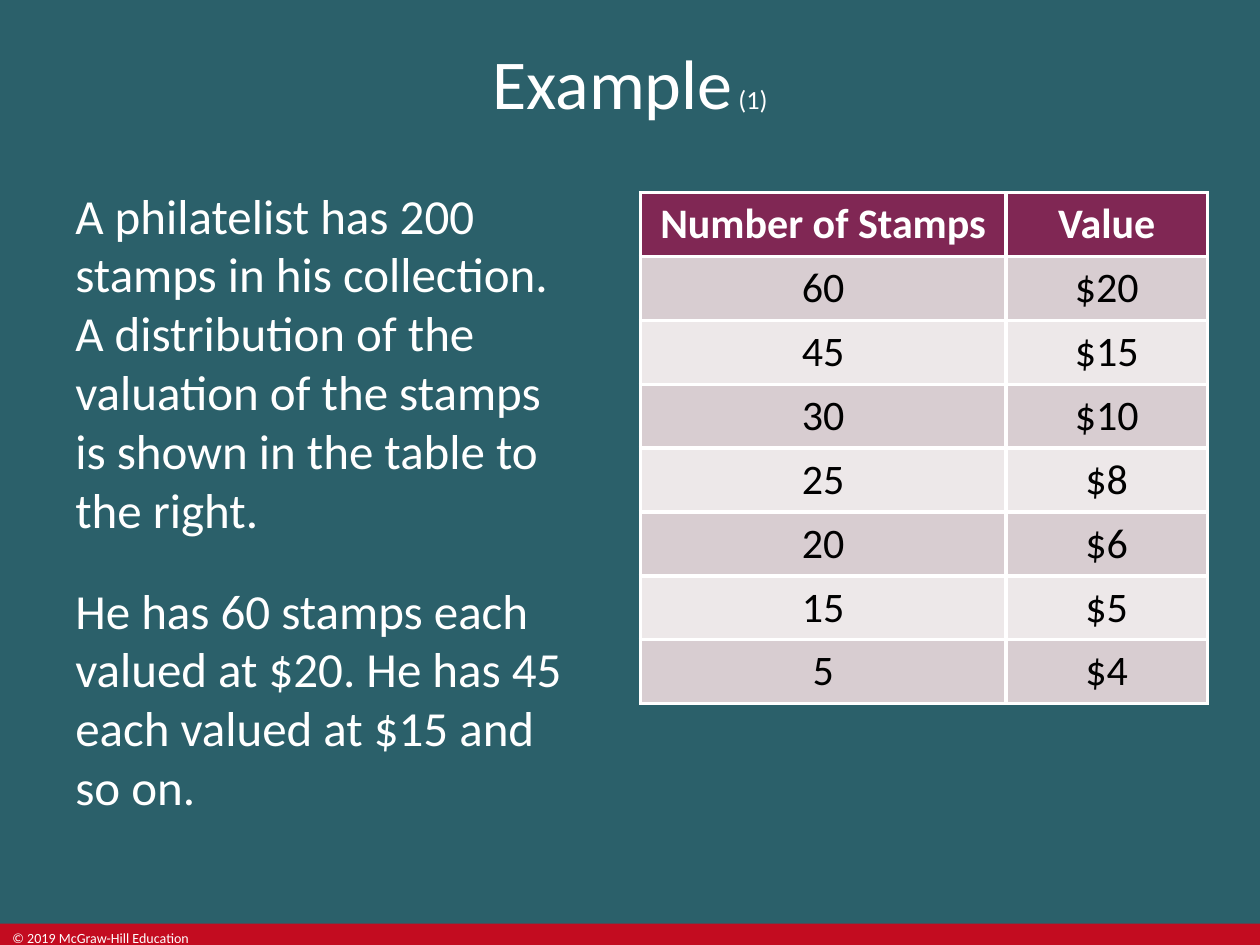
from typing import NamedTuple

from lxml.etree import SubElement
from pptx import Presentation
from pptx.dml.color import RGBColor
from pptx.enum.shapes import MSO_SHAPE as Shape
from pptx.enum.text import MSO_ANCHOR as Anchor, PP_ALIGN as Align
from pptx.oxml.ns import qn
from pptx.util import Pt

FONT = "Calibri"
WHITE, BLACK = "FFFFFF", "000000"
TEAL, RED, PLUM = "2B606A", "C30C20", "802754"
BANDS = ("D8CDD1", "EDE8E9")
BORDER = 2.25
SLIDE_WIDTH, SLIDE_HEIGHT = 720, 540
FOOTER_TOP = 527.76


class Box(NamedTuple):
    left: float
    top: float
    width: float
    height: float

    def lengths(self) -> list:
        return [Pt(value) for value in self]


class Run(NamedTuple):
    text: str
    size: float
    color: str = WHITE
    bold: bool = False


class StampGroup(NamedTuple):
    count: str
    value: str


def rgb(color: str) -> RGBColor:
    return RGBColor.from_string(color)


def paint(target, color: str) -> None:
    target.fill.solid()
    target.fill.fore_color.rgb = rgb(color)


def add_runs(paragraph, runs: list[Run], align=Align.LEFT) -> None:
    paragraph.alignment = align
    for item in runs:
        run = paragraph.add_run()
        run.text = item.text
        run.font.name = FONT
        run.font.size = Pt(item.size)
        run.font.bold = item.bold
        run.font.color.rgb = rgb(item.color)


def add_text(slide, box: Box, paragraphs: list[list[Run]], align=Align.LEFT,
             anchor=Anchor.TOP, gap: float = 0) -> None:
    frame = slide.shapes.add_textbox(*box.lengths()).text_frame
    frame.word_wrap = True
    frame.vertical_anchor = anchor
    for index, runs in enumerate(paragraphs):
        paragraph = frame.add_paragraph() if index else frame.paragraphs[0]
        paragraph.space_before = Pt(gap if index else 0)
        add_runs(paragraph, runs, align)


def add_borders(cell, color: str, width: float) -> None:
    properties = cell._tc.get_or_add_tcPr()
    for side in ("a:lnL", "a:lnR", "a:lnT", "a:lnB"):
        line = SubElement(properties, qn(side), w=str(Pt(width)))
        fill = SubElement(line, qn("a:solidFill"))
        SubElement(fill, qn("a:srgbClr"), val=color)


def add_stamp_table(slide, left: float, top: float, widths: tuple,
                    row_height: float, heading: StampGroup,
                    groups: list[StampGroup]) -> None:
    rows = [heading, *groups]
    box = Box(left, top, sum(widths), row_height * len(rows))
    table = slide.shapes.add_table(len(rows), len(widths), *box.lengths()).table
    for column, width in zip(table.columns, widths):
        column.width = Pt(width)
    for index, (row, group) in enumerate(zip(table.rows, rows)):
        row.height = Pt(row_height)
        is_heading = index == 0
        for cell, text in zip(row.cells, group):
            add_borders(cell, WHITE, BORDER)
            paint(cell, PLUM if is_heading else BANDS[(index - 1) % 2])
            label = Run(text, 24, WHITE if is_heading else BLACK, is_heading)
            add_runs(cell.text_frame.paragraphs[0], [label], Align.CENTER)


def main() -> None:
    deck = Presentation()
    deck.slide_width, deck.slide_height = Pt(SLIDE_WIDTH), Pt(SLIDE_HEIGHT)
    slide = deck.slides.add_slide(deck.slide_layouts[6])
    paint(slide.background, TEAL)

    # Footer band and copyright line
    footer = Box(0, FOOTER_TOP, SLIDE_WIDTH, SLIDE_HEIGHT - FOOTER_TOP)
    band = slide.shapes.add_shape(Shape.RECTANGLE, *footer.lengths())
    band.shadow.inherit = False
    paint(band, RED)
    band.line.fill.background()
    add_text(slide, footer._replace(width=122.4),
             [[Run("© 2019 McGraw-Hill Education", 8)]])

    # Title
    add_text(slide, Box(0, 0, SLIDE_WIDTH, 93.6),
             [[Run("Example", 40), Run(" (1)", 15)]],
             Align.CENTER, Anchor.MIDDLE)

    # Problem statement
    statement = [
        "A philatelist has 200 stamps in his collection. A distribution of "
        "the valuation of the stamps is shown in the table to the right.",
        "He has 60 stamps each valued at $20. He has 45 each valued at $15 "
        "and so on.",
    ]
    add_text(slide, Box(36, 102.24, 295.2, 414),
             [[Run(text, 28)] for text in statement], gap=24)

    # Distribution of stamp values
    groups = [
        StampGroup("60", "$20"),
        StampGroup("45", "$15"),
        StampGroup("30", "$10"),
        StampGroup("25", "$8"),
        StampGroup("20", "$6"),
        StampGroup("15", "$5"),
        StampGroup("5", "$4"),
    ]
    add_stamp_table(slide, 366, 110.16, (208.8, 115.2), 36.5,
                    StampGroup("Number of Stamps", "Value"), groups)

    deck.save("out.pptx")


if __name__ == "__main__":
    main()
